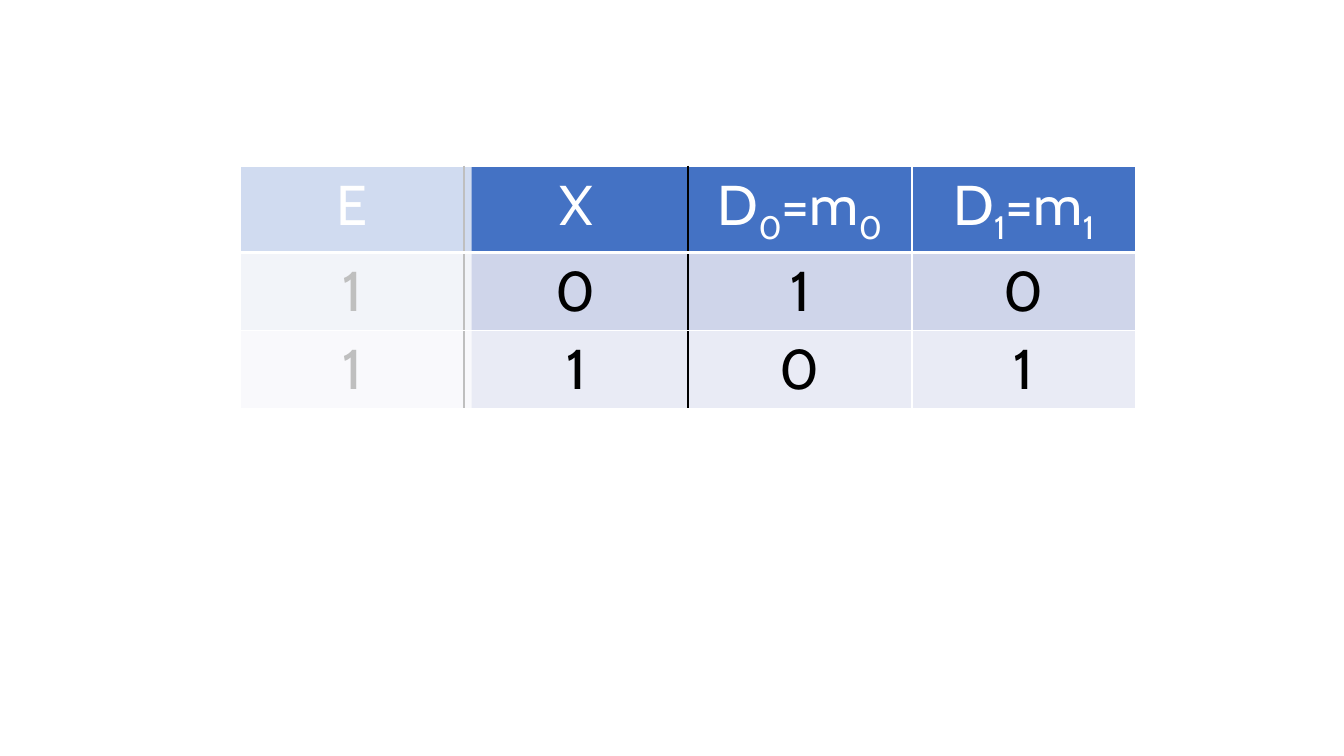
from dataclasses import dataclass

from lxml import etree
from pptx import Presentation
from pptx import util as u
from pptx.dml.color import RGBColor
from pptx.enum import shapes, text
from pptx.oxml import ns


@dataclass
class Theme:
    font: str = "Cabin"
    size: float = 40
    white: str = "FFFFFF"
    black: str = "000000"
    header: str = "4472C4"
    bands: tuple = ("CFD5EA", "E9EBF5")
    rule: float = 1
    header_rule: float = 3
    veil_alpha: int = 75


class SlideBuilder:
    def __init__(self, slide, theme):
        self.slide = slide
        self.theme = theme

    def border(self, cell, side, color, width):
        line = etree.SubElement(cell._tc.get_or_add_tcPr(), ns.qn(f"a:ln{side}"))
        line.set("w", str(u.Pt(width)))
        fill = etree.SubElement(line, ns.qn("a:solidFill"))
        etree.SubElement(fill, ns.qn("a:srgbClr")).set("val", color)

    def label_cell(self, cell, label, color):
        paragraph = cell.text_frame.paragraphs[0]
        paragraph.alignment = text.PP_ALIGN.CENTER
        for index, part in enumerate(label.split("_")):
            run = paragraph.add_run()
            run.text = part
            run.font.name = self.theme.font
            run.font.size = u.Pt(self.theme.size)
            run.font.bold = False
            run.font.color.rgb = RGBColor.from_string(color)
            if index % 2:
                run._r.get_or_add_rPr().set("baseline", "-25000")

    def truth_table(self, rows, left, top, width, height, dark_edges):
        theme = self.theme
        frame = self.slide.shapes.add_table(
            len(rows), len(rows[0]), u.Pt(left), u.Pt(top), u.Pt(width), u.Pt(height))
        for r, labels in enumerate(rows):
            background = theme.bands[(r - 1) % 2] if r else theme.header
            ink = theme.black if r else theme.white
            above = theme.header_rule if r == 1 else theme.rule
            below = theme.rule if r else theme.header_rule
            for c, label in enumerate(labels):
                cell = frame.table.cell(r, c)
                for side, edge in (("L", c), ("R", c + 1)):
                    color = theme.black if edge in dark_edges else theme.white
                    self.border(cell, side, color, theme.rule)
                self.border(cell, "T", theme.white, above)
                self.border(cell, "B", theme.white, below)
                cell.fill.solid()
                cell.fill.fore_color.rgb = RGBColor.from_string(background)
                self.label_cell(cell, label, ink)

    def veil(self, left, top, width, height):
        cover = self.slide.shapes.add_shape(
            shapes.MSO_SHAPE.RECTANGLE, u.Pt(left), u.Pt(top), u.Pt(width), u.Pt(height))
        cover.shadow.inherit = False
        cover.line.fill.background()
        cover.fill.solid()
        cover.fill.fore_color.rgb = RGBColor.from_string(self.theme.white)
        color = cover._element.spPr.find(ns.qn("a:solidFill"))[0]
        etree.SubElement(color, ns.qn("a:alpha")).set("val", str(self.theme.veil_alpha * 1000))


def main():
    deck = Presentation()
    deck.slide_width, deck.slide_height = u.Pt(960), u.Pt(540)
    builder = SlideBuilder(deck.slides.add_slide(deck.slide_layouts[6]), Theme())
    decoder = [
        ("E", "X", "D_0_=m_0", "D_1_=m_1"),
        ("1", "0", "1", "0"),
        ("1", "1", "0", "1"),
    ]
    builder.truth_table(decoder, 171.4, 118.8, 640, 165.6, dark_edges=(1, 2))
    builder.veil(116.6, 57.6, 220.3, 295.9)
    deck.save("out.pptx")


if __name__ == "__main__":
    main()
